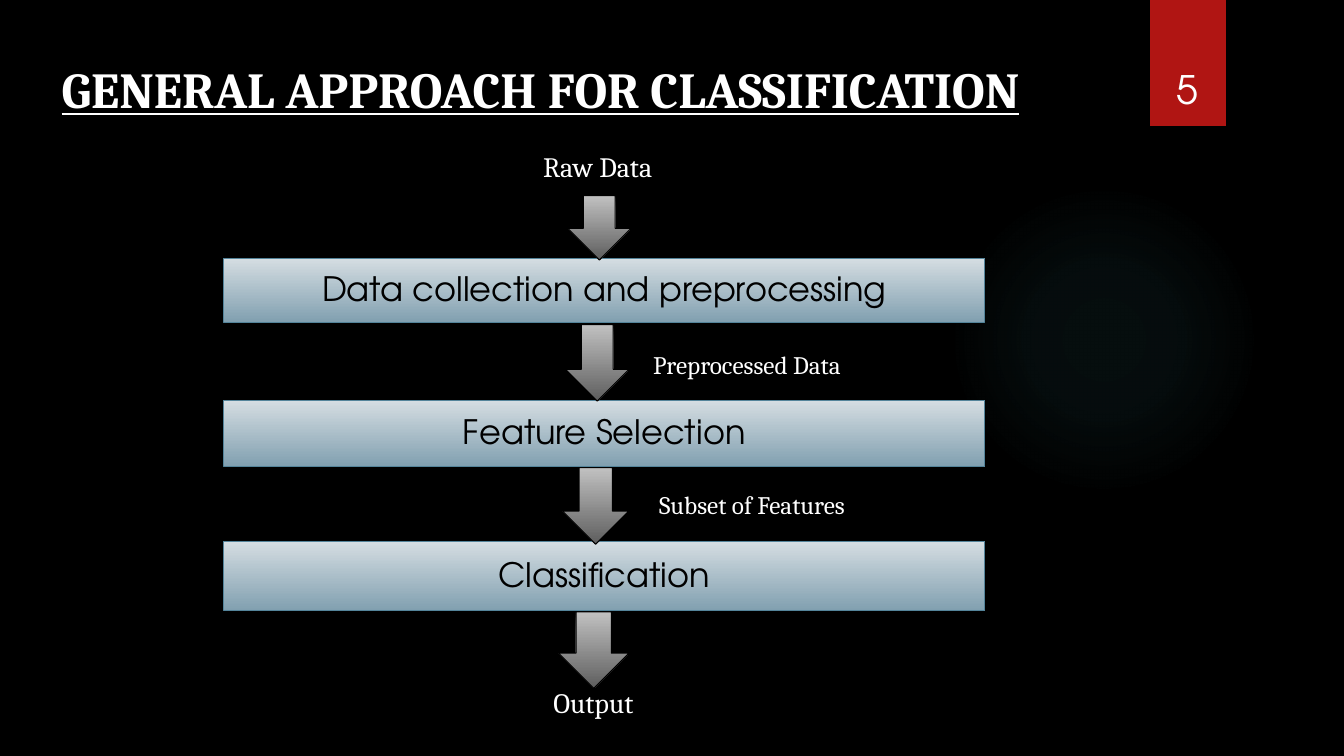
from dataclasses import dataclass

from lxml import etree
from pptx import Presentation
from pptx.dml.color import RGBColor
from pptx.enum.shapes import MSO_SHAPE as Kind
from pptx.enum.text import MSO_ANCHOR as Anchor, MSO_AUTO_SIZE as Auto, PP_ALIGN as Align
from pptx.oxml.ns import qn
from pptx.util import Inches, Pt

WIDE, HIGH = Inches(13.333), Inches(7.5)
SERIF, SANS = "Cambria", "TeX Gyre Adventor"
WHITE, BLACK = "FFFFFF", "000000"


@dataclass
class Box:
    """A frame in percent of the slide's width and height."""
    x: float
    y: float
    w: float
    h: float

    def frame(self) -> tuple[int, int, int, int]:
        return (int(WIDE * self.x / 100), int(HIGH * self.y / 100),
                int(WIDE * self.w / 100), int(HIGH * self.h / 100))


@dataclass
class Stop:
    at: int
    color: str
    alpha: int = 100


@dataclass
class Label:
    text: str
    box: Box
    size: int
    font: str = SERIF
    align: Align = Align.LEFT
    anchor: Anchor = Anchor.TOP


@dataclass
class Step:
    text: str
    y: float
    h: float


def rgb(code: str) -> RGBColor:
    return RGBColor.from_string(code)


def blend(shape, stops: list[Stop], round_: bool = False) -> None:
    """Fill a shape with a downward or a circular gradient."""
    fill = etree.Element(qn("a:gradFill"), rotWithShape="1")
    chain = etree.SubElement(fill, qn("a:gsLst"))
    for stop in stops:
        mark = etree.SubElement(chain, qn("a:gs"), pos=str(stop.at * 1000))
        tint = etree.SubElement(mark, qn("a:srgbClr"), val=stop.color)
        if stop.alpha < 100:
            etree.SubElement(tint, qn("a:alpha"), val=str(stop.alpha * 1000))
    if round_:
        way = etree.SubElement(fill, qn("a:path"), path="circle")
        etree.SubElement(way, qn("a:fillToRect"), l="50000", t="50000", r="50000", b="50000")
    else:
        etree.SubElement(fill, qn("a:lin"), ang="5400000", scaled="0")
    shape.element.spPr.find(qn("a:prstGeom")).addnext(fill)


def add(slide, kind: Kind, box: Box, edge: str = ""):
    shape = slide.shapes.add_shape(kind, *box.frame())
    shape.shadow.inherit = False
    if edge:
        shape.line.color.rgb = rgb(edge)
        shape.line.width = Pt(0.75)
    else:
        shape.line.fill.background()
    return shape


def write(frame, text: str, size: int, font: str, color: str, align: Align, anchor: Anchor):
    frame.text = text
    frame.word_wrap = True
    frame.auto_size = Auto.NONE
    frame.vertical_anchor = anchor
    para = frame.paragraphs[0]
    para.alignment = align
    para.font.size, para.font.name = Pt(size), font
    para.font.color.rgb = rgb(color)
    return para


def add_label(slide, label: Label) -> None:
    area = slide.shapes.add_textbox(*label.box.frame())
    write(area.text_frame, label.text, label.size, label.font, WHITE, label.align, label.anchor)


def add_step(slide, step: Step) -> None:
    bar = add(slide, Kind.RECTANGLE, Box(16.65, step.y, 56.63, step.h), "54849A")
    blend(bar, [Stop(0, "D5DDE2"), Stop(100, "81A0B0")])
    frame = bar.text_frame
    para = write(frame, step.text, 24, SANS, BLACK, Align.CENTER, Anchor.MIDDLE)
    para.line_spacing = 0.9
    frame.margin_left = frame.margin_right = Inches(0.07)
    frame.margin_top = frame.margin_bottom = Inches(0.07)


def add_arrow(slide, box: Box) -> None:
    arrow = add(slide, Kind.DOWN_ARROW, box, BLACK)
    blend(arrow, [Stop(0, "C1C1C1"), Stop(100, "5E5E5E")])


STEPS = [
    Step("Data collection and preprocessing", 34.13, 8.53),
    Step("Feature Selection", 52.93, 8.8),
    Step("Classification", 71.6, 9.2),
]
ARROWS = [
    Box(42.23, 25.87, 4.73, 8.53),
    Box(42.08, 42.93, 4.73, 10.13),
    Box(41.85, 61.87, 4.95, 10.13),
    Box(41.55, 80.93, 5.25, 10.13),
]
LABELS = [
    Label("Raw Data", Box(39.68, 19.07, 12.68, 5.87), 20),
    Label("Preprocessed Data", Box(47.85, 45.6, 22.28, 5.33), 18),
    Label("Subset of Features", Box(48.3, 64, 20.7, 5.33), 18),
    Label("Output", Box(40.43, 90.07, 15.68, 5.87), 20),
    Label("5", Box(84.9, 4.27, 6.9, 11.2), 28, SANS, Align.CENTER, Anchor.BOTTOM),
]


def main() -> None:
    deck = Presentation()
    deck.slide_width, deck.slide_height = WIDE, HIGH
    slide = deck.slides.add_slide(deck.slide_layouts[5])
    slide.background.fill.solid()
    slide.background.fill.fore_color.rgb = rgb(BLACK)

    # Backdrop: soft glow and red page tab
    glow = add(slide, Kind.OVAL, Box(70.58, 24.4, 23.1, 41.07))
    blend(glow, [Stop(0, "50B9C1", 7), Stop(36, "50B9C1", 6), Stop(69, "50B9C1", 0)], True)
    tab = add(slide, Kind.RECTANGLE, Box(85.58, 0, 5.63, 16.67))
    tab.fill.solid()
    tab.fill.fore_color.rgb = rgb("B01513")

    # Title
    title = slide.shapes.title
    title.left, title.top, title.width, title.height = Box(3.83, 7.07, 76.88, 9.47).frame()
    head = write(title.text_frame, "GENERAL APPROACH FOR CLASSIFICATION",
                 36, SERIF, WHITE, Align.LEFT, Anchor.TOP)
    head.font.bold = head.font.underline = True

    # Flow: steps, arrows and labels
    for step in STEPS:
        add_step(slide, step)
    for box in ARROWS:
        add_arrow(slide, box)
    for label in LABELS:
        add_label(slide, label)

    deck.save("out.pptx")


if __name__ == "__main__":
    main()
